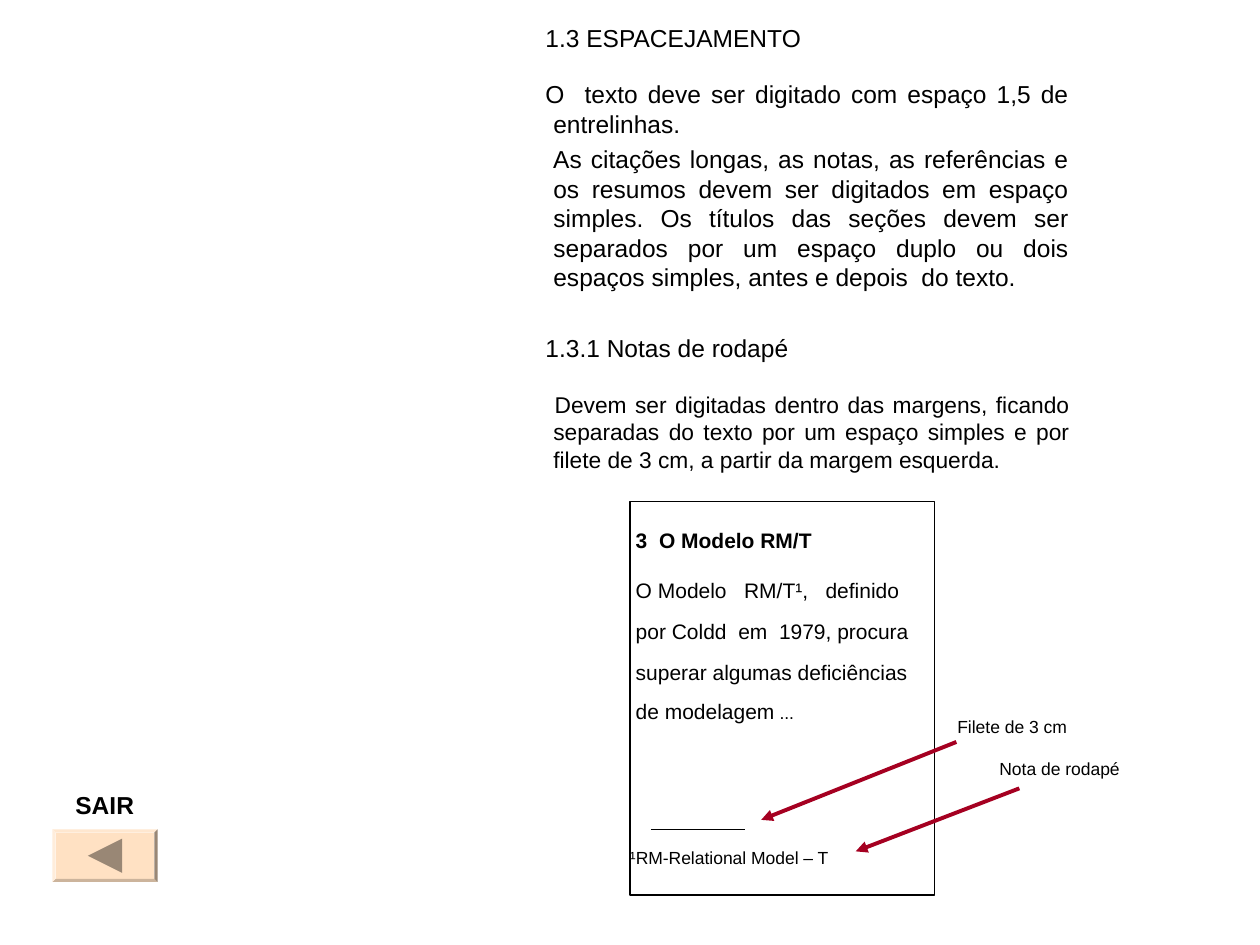
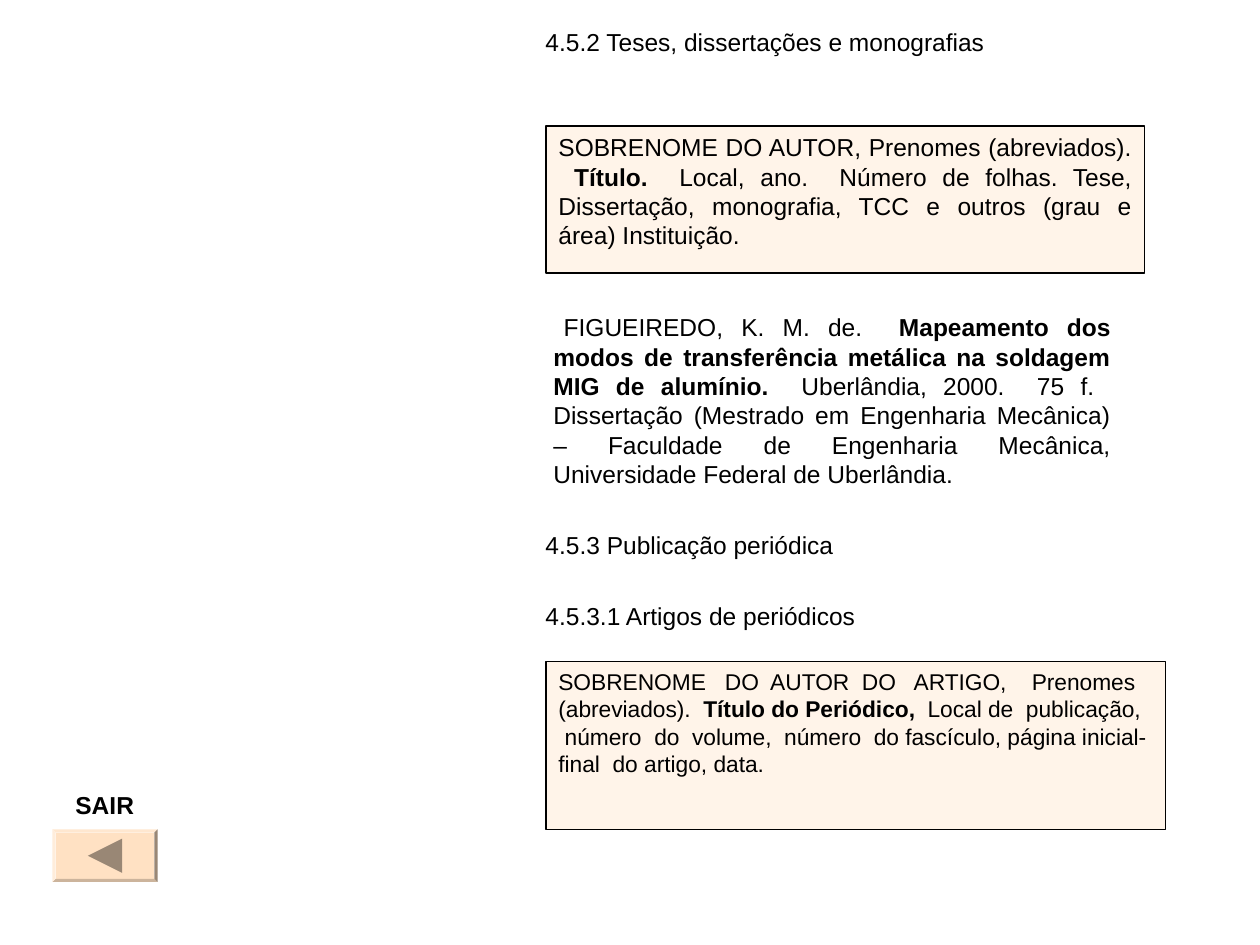
from dataclasses import dataclass

from lxml.etree import SubElement
from pptx import Presentation
from pptx.dml.color import RGBColor
from pptx.enum.shapes import MSO_CONNECTOR, MSO_SHAPE
from pptx.enum.text import MSO_ANCHOR, MSO_AUTO_SIZE, PP_ALIGN
from pptx.oxml.ns import qn
from pptx.util import Pt


@dataclass(frozen=True)
class Theme:
    font: str = "Arial"
    text: RGBColor = RGBColor(0x00, 0x00, 0x00)
    paper: RGBColor = RGBColor(0xFF, 0xFF, 0xFF)
    box: RGBColor = RGBColor(0xFF, 0xF4, 0xE9)
    button: RGBColor = RGBColor(0xFF, 0xE1, 0xC3)
    button_icon: RGBColor = RGBColor(0x99, 0x87, 0x75)
    arrow: RGBColor = RGBColor(0xA5, 0x00, 0x21)
    body: float = 14
    compact: float = 13
    sample: float = 12
    note: float = 10
    thin: float = 0.75
    thick: float = 2.25


THEME = Theme()


@dataclass
class Run:
    text: str
    size: float = THEME.body
    bold: bool = False


@dataclass
class Para:
    runs: list
    before: float = 0
    spacing: float = 1.0


def para(text, before=0, size=THEME.body, bold=False, spacing=1.0):
    """A paragraph with a single run."""
    return Para([Run(text, size, bold)], before, spacing)


class Deck:
    def __init__(self, theme):
        self.theme = theme
        self.prs = Presentation()
        self.prs.slide_width, self.prs.slide_height = Pt(720), Pt(540)
        self.s = None

    def add_slide(self):
        """Start a slide that has only the body placeholder."""
        self.s = self.prs.slides.add_slide(self.prs.slide_layouts[1])
        title = self.s.shapes.title
        title.element.getparent().remove(title.element)

    def set_text(self, sp, paras, align=PP_ALIGN.LEFT, left=7.2, top=3.6):
        tf = sp.text_frame
        tf.word_wrap = True
        tf.auto_size = MSO_AUTO_SIZE.NONE
        tf.vertical_anchor = MSO_ANCHOR.TOP
        tf.margin_left, tf.margin_right = Pt(left), Pt(7.2)
        tf.margin_top, tf.margin_bottom = Pt(top), Pt(3.6)
        for i, item in enumerate(paras):
            p = tf.paragraphs[0] if i == 0 else tf.add_paragraph()
            p.alignment = align
            p.space_before, p.line_spacing = Pt(item.before), item.spacing
            for part in item.runs:
                r = p.add_run()
                r.text = part.text
                r.font.name, r.font.size = self.theme.font, Pt(part.size)
                r.font.bold = part.bold
                r.font.color.rgb = self.theme.text

    def fill(self, sp, color, outlined=False):
        sp.shadow.inherit = False
        sp.fill.solid()
        sp.fill.fore_color.rgb = color
        if outlined:
            sp.line.color.rgb = self.theme.text
            sp.line.width = Pt(self.theme.thin)
        else:
            sp.line.fill.background()

    def body(self, y, w, paras, top=3.6):
        """Fill the body placeholder with unbulleted, justified text."""
        sp = self.s.placeholders[1]
        sp.left, sp.top, sp.width, sp.height = Pt(282), Pt(y), Pt(w), Pt(510)
        sp.fill.solid()
        sp.fill.fore_color.rgb = self.theme.paper
        self.set_text(sp, paras, PP_ALIGN.JUSTIFY, top=top)
        for p in sp.text_frame.paragraphs:
            pPr = p._p.get_or_add_pPr()
            pPr.set("marL", str(Pt(27)))
            pPr.set("indent", str(-Pt(4.5)))
            SubElement(pPr, qn("a:buNone"))

    def box(self, x, y, w, h, color, paras, **style):
        sp = self.s.shapes.add_shape(MSO_SHAPE.RECTANGLE, Pt(x), Pt(y), Pt(w), Pt(h))
        self.fill(sp, color, outlined=True)
        self.set_text(sp, paras, **style)

    def label(self, x, y, w, h, item, top):
        sp = self.s.shapes.add_textbox(Pt(x), Pt(y), Pt(w), Pt(h))
        self.set_text(sp, [item], top=top)

    def line(self, x1, y1, x2, y2, color, width, arrow=False):
        c = self.s.shapes.add_connector(
            MSO_CONNECTOR.STRAIGHT, Pt(x1), Pt(y1), Pt(x2), Pt(y2))
        c.line.color.rgb, c.line.width = color, Pt(width)
        if arrow:
            SubElement(c.line._get_or_add_ln(), qn("a:tailEnd"), type="triangle")
        SubElement(c._element.spPr, qn("a:effectLst"))

    def exit_button(self):
        x, y, w, h = 30, 474, 60, 30
        sp = self.s.shapes.add_shape(MSO_SHAPE.BEVEL, Pt(x), Pt(y), Pt(w), Pt(h))
        sp.adjustments[0] = 0.06
        self.fill(sp, self.theme.button)
        cx, cy, half = x + w / 2, y + h / 2, 9.75
        fb = self.s.shapes.build_freeform(Pt(cx - half), Pt(cy))
        fb.add_line_segments([(Pt(cx + half), Pt(cy - half)),
                              (Pt(cx + half), Pt(cy + half))], close=True)
        self.fill(fb.convert_to_shape(), self.theme.button_icon)
        self.label(36, 438, 60, 32.5, para("SAIR", bold=True), top=13.5)


def spacing_slide(d):
    t = d.theme
    d.add_slide()
    d.body(0, 336, [
        para("1.3 ESPACEJAMENTO"),
        para("O  texto deve ser digitado com espaço 1,5 de entrelinhas.", 15.1),
        para(" As citações longas, as notas, as referências e os resumos devem ser "
             "digitados em espaço simples. Os títulos das seções devem ser separados "
             "por um espaço duplo ou dois espaços simples, antes e depois  do texto.",
             3.5),
        para("1.3.1 Notas de rodapé ", 23.8),
        Para([Run(" "),
              Run("Devem ser digitadas dentro das margens, ficando separadas do texto "
                  "por um espaço simples e por filete de 3 cm, a partir da margem "
                  "esquerda.", t.compact)], 14.9),
    ], top=13.4)
    d.exit_button()
    d.box(360, 286.5, 174, 225, t.paper, [
        para(" 3  O Modelo RM/T", 0, t.sample, bold=True),
        para(" O Modelo   RM/T¹,   definido", 7.5, t.sample, spacing=1.5),
        para(" por Coldd  em  1979, procura", 7.5, t.sample, spacing=1.1),
        para(" superar algumas deficiências", 7.5, t.sample, spacing=1.1),
        Para([Run(" de modelagem", t.sample), Run(" ...", t.note)], 6.2, 1.1),
        para("¹RM-Relational Model – T", 73.2, t.note, spacing=0.75),
    ], left=0, top=14.7)
    d.line(372, 474, 426, 474, t.text, t.thin)
    d.line(546.5, 424, 435, 468.5, t.arrow, t.thick, arrow=True)
    d.label(540, 408, 77, 16.5, para("Filete de 3 cm", size=t.note), top=1)
    d.label(564, 432, 96, 16.5, para("Nota de rodapé", size=t.note), top=1)
    d.line(582.5, 450.5, 489, 486.5, t.arrow, t.thick, arrow=True)


def references_slide(d):
    t = d.theme
    d.add_slide()
    d.body(12, 360, [
        para("4.5.2 Teses, dissertações e monografias"),
        Para([Run(" FIGUEIREDO, K. M. de.  "),
              Run("Mapeamento dos modos de transferência metálica na soldagem MIG de "
                  "alumínio.", bold=True),
              Run("  Uberlândia, 2000.  75 f.  Dissertação (Mestrado em Engenharia "
                  "Mecânica) – Faculdade de Engenharia Mecânica, Universidade Federal "
                  "de Uberlândia.")], 146),
        para("4.5.3 Publicação periódica", 23.8),
        para("4.5.3.1 Artigos de periódicos", 23.8),
    ])
    d.exit_button()
    d.box(312, 72, 342, 84, t.box, [
        Para([Run("SOBRENOME DO AUTOR, Prenomes (abreviados).  "),
              Run("Título.  ", bold=True),
              Run("Local, ano.  Número de folhas. Tese, Dissertação, monografia, TCC e "
                  "outros (grau e área) Instituição.")]),
    ], align=PP_ALIGN.JUSTIFY)
    d.box(312, 378, 354, 96, t.box, [
        Para([Run("SOBRENOME   DO  AUTOR  DO   ARTIGO,    Prenomes (abreviados).  ",
                  t.compact),
              Run("Título do Periódico,  ", t.compact, bold=True),
              Run("Local de  publicação,", t.compact)]),
        para(" número  do  volume,  número  do fascículo, página inicial-final  "
             "do artigo, data.", size=t.compact),
    ])


def main():
    d = Deck(THEME)
    spacing_slide(d)
    references_slide(d)
    d.prs.save("out.pptx")


if __name__ == "__main__":
    main()
